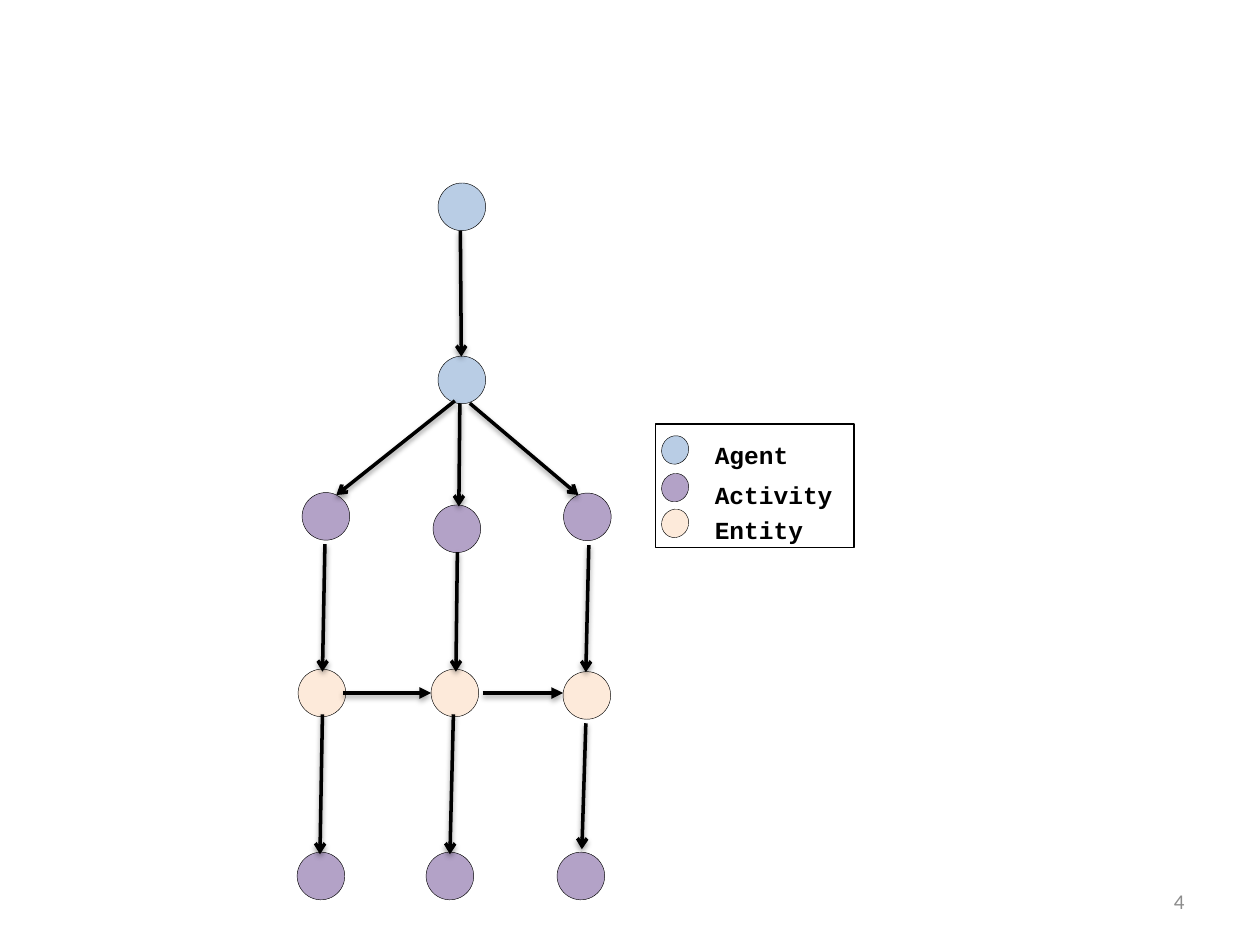
from lxml.etree import SubElement
from pptx import Presentation
from pptx.dml.color import RGBColor
from pptx.enum.shapes import MSO_CONNECTOR, MSO_SHAPE
from pptx.enum.text import MSO_ANCHOR, PP_ALIGN
from pptx.oxml.ns import qn
from pptx.util import Cm, Pt

COLORS = {
    "agent": "B9CDE5",
    "activity": "B3A2C7",
    "entity": "FDEADA",
    "ink": "000000",
    "paper": "FFFFFF",
    "number": "8C8C8C",
}
NODES = {
    "agent": [(3.31, 0.47), (3.31, 3.96)],
    "activity": [(0.57, 6.71), (3.21, 6.96), (5.84, 6.72),
                 (0.47, 13.96), (3.07, 13.96), (5.71, 13.96)],
    "entity": [(0.49, 10.27), (3.17, 10.27), (5.83, 10.32)],
}
DOWN_ARROWS = [
    (3.28, 0.95, 3.3, 3.49),
    (3.17, 4.38, 0.78, 6.28),
    (3.27, 4.43, 3.25, 6.51),
    (3.47, 4.43, 5.66, 6.28),
    (0.55, 7.27, 0.5, 9.84),
    (3.22, 7.43, 3.19, 9.84),
    (5.87, 7.29, 5.81, 9.85),
    (0.5, 10.7, 0.45, 13.52),
    (3.14, 10.7, 3.07, 13.52),
    (5.81, 10.88, 5.73, 13.42),
]
ACROSS_ARROWS = [(0.91, 10.27, 2.69, 10.27), (3.73, 10.27, 5.35, 10.27)]
LEGEND = [
    ("Agent", "agent", 0.52, 0.19),
    ("Activity", "activity", 1.28, 1.0),
    ("Entity", "entity", 2.0, 1.71),
]


def rgb(name):
    return RGBColor.from_string(COLORS[name])


def add_text(s, text, x, y, w, h, font, size, color="ink", bold=False,
             align=PP_ALIGN.LEFT, anchor=MSO_ANCHOR.TOP):
    tf = s.shapes.add_textbox(Cm(x), Cm(y), Cm(w), Cm(h)).text_frame
    tf.word_wrap = True
    tf.vertical_anchor = anchor
    p = tf.paragraphs[0]
    p.alignment = align
    r = p.add_run()
    r.text = text
    r.font.name = font
    r.font.size = Pt(size)
    r.font.bold = bold
    r.font.color.rgb = rgb(color)


def add_outline(s, kind, x, y, w, h, fill, weight):
    sp = s.shapes.add_shape(kind, Cm(x), Cm(y), Cm(w), Cm(h))
    sp.shadow.inherit = False
    sp.fill.solid()
    sp.fill.fore_color.rgb = rgb(fill)
    sp.line.color.rgb = rgb("ink")
    sp.line.width = Pt(weight)
    return sp


def add_node(s, cx, cy, w, h, fill):
    sp = add_outline(s, MSO_SHAPE.OVAL, cx - w / 2, cy - h / 2, w, h, fill, 0.25)
    sp.rotation = 114.6


def add_arrow(s, x1, y1, x2, y2, weight, head, alpha, distance):
    line = s.shapes.add_connector(MSO_CONNECTOR.STRAIGHT, Cm(x1), Cm(y1), Cm(x2), Cm(y2))
    line.line.color.rgb = rgb("ink")
    line.line.width = Pt(weight)
    SubElement(line.line._get_or_add_ln(), qn("a:tailEnd"), type=head)
    effects = SubElement(line._element.spPr, qn("a:effectLst"))
    shadow = SubElement(effects, qn("a:outerShdw"), blurRad=str(Pt(3.1)),
                        dist=str(Pt(distance)), dir="5400000", rotWithShape="0")
    tint = SubElement(shadow, qn("a:srgbClr"), val=COLORS["ink"])
    SubElement(tint, qn("a:alpha"), val=str(alpha * 1000))


def add_network(s, x, y):
    for kind, centers in NODES.items():
        for cx, cy in centers:
            add_node(s, x + cx, y + cy, 0.96, 0.96, kind)
    for arrows, style in ((DOWN_ARROWS, (2, "arrow", 38, 1.6)),
                          (ACROSS_ARROWS, (2.25, "triangle", 35, 1.8))):
        for x1, y1, x2, y2 in arrows:
            add_arrow(s, x + x1, y + y1, x + x2, y + y2, *style)


def add_legend(s, x, y, w, h):
    add_outline(s, MSO_SHAPE.RECTANGLE, x, y, w, h, "paper", 0.75)
    for label, kind, cy, top in LEGEND:
        add_node(s, x + 0.39, y + cy, 0.58, 0.54, kind)
        add_text(s, label, x + 0.94, y + top, w, 0.61, "Courier New", 14, bold=True)


def add_slide_number(s, x, y, w, h):
    add_text(s, "4", x, y, w, h, "Calibri", 12, color="number",
             align=PP_ALIGN.RIGHT, anchor=MSO_ANCHOR.MIDDLE)


def main():
    prs = Presentation()
    prs.slide_width, prs.slide_height = Cm(25.4), Cm(19.05)
    s = prs.slides.add_slide(prs.slide_layouts[6])
    add_slide_number(s, 18.2, 17.66, 5.93, 1.01)
    add_network(s, 6, 3.7)
    add_legend(s, 13.22, 8.55, 4, 2.49)
    prs.save("out.pptx")


if __name__ == "__main__":
    main()
